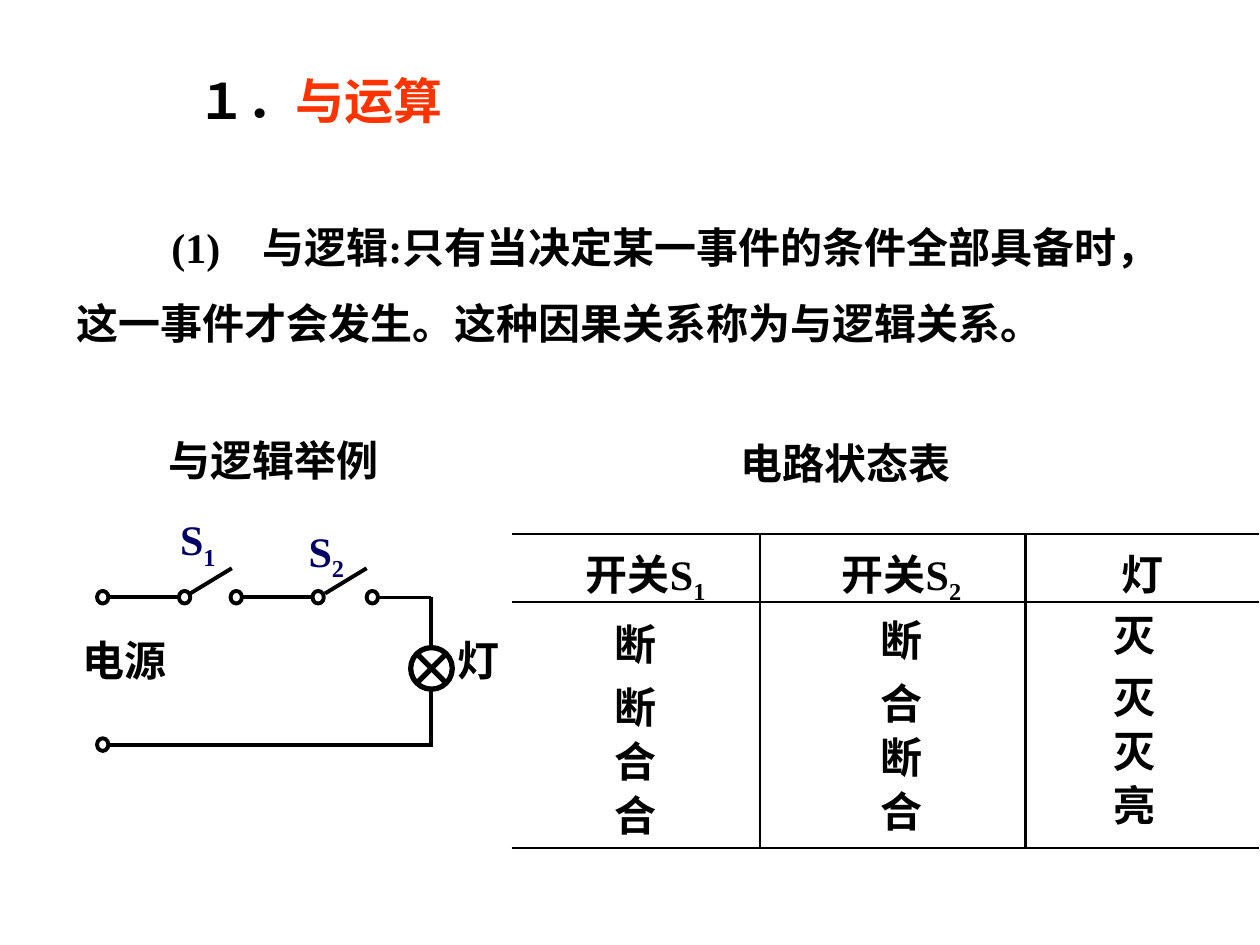
from lxml import etree
from pptx import Presentation
from pptx.dml.color import RGBColor
from pptx.enum.shapes import MSO_CONNECTOR, MSO_SHAPE
from pptx.enum.text import MSO_ANCHOR, MSO_AUTO_SIZE, PP_ALIGN
from pptx.oxml.ns import qn
from pptx.util import Inches, Pt

BLACK = RGBColor(0x00, 0x00, 0x00)
NAVY = RGBColor(0x00, 0x00, 0x66)
RED = RGBColor(0xFF, 0x33, 0x00)
FONT = "Times New Roman"
CENTER, LEFT = PP_ALIGN.CENTER, PP_ALIGN.LEFT
TOP, MIDDLE = MSO_ANCHOR.TOP, MSO_ANCHOR.MIDDLE
NO_FIT = MSO_AUTO_SIZE.NONE
STRAIGHT = MSO_CONNECTOR.STRAIGHT
OVAL, LAMP = MSO_SHAPE.OVAL, MSO_SHAPE.FLOWCHART_SUMMING_JUNCTION


def add_run(p, text, size=24, color=BLACK, subscript=False):
    r = p.add_run()
    r.text = text
    r.font.name = FONT
    r.font.size = Pt(size)
    r.font.bold = True
    r.font.color.rgb = color
    if subscript:
        r._r.get_or_add_rPr().set("baseline", "-25000")


prs = Presentation()
prs.slide_width, prs.slide_height = Inches(10), Inches(7.5)
s = prs.slides.add_slide(prs.slide_layouts[1])

title, body = s.shapes.title, s.placeholders[1]
for sp, left, top, width, height, spacing in [
    (title, 1.47, 0.37, 2.46, 0.71, 1.3),
    (body, 0.51, 1.51, 8.6, 1.3, 1.5),
]:
    sp.left, sp.top = Inches(left), Inches(top)
    sp.width, sp.height = Inches(width), Inches(height)
    tf = sp.text_frame
    tf.auto_size = NO_FIT
    tf.word_wrap = True
    tf.vertical_anchor = TOP
    p = tf.paragraphs[0]
    p.alignment = LEFT
    p.line_spacing = spacing
    p.space_before = Pt(0)

p = title.text_frame.paragraphs[0]
add_run(p, "１．", 28)
add_run(p, "与运算", 28, RED)

p = body.text_frame.paragraphs[0]
pPr = p._p.get_or_add_pPr()
pPr.set("marL", "0")
pPr.set("indent", str(Inches(0.75)))
etree.SubElement(pPr, qn("a:buNone"))
add_run(p, "(1)　与逻辑:只有当决定某一事件的条件全部具备时，这一事件才会发生。"
           "这种因果关系称为与逻辑关系。")

for left, top, width, text, sub, color in [
    (1.12, 3.4, 2.1, "与逻辑举例", "", BLACK),
    (5.66, 3.42, 2.1, "电路状态表", "", BLACK),
    (1.33, 4.03, 0.48, "S", "1", NAVY),
    (2.35, 4.12, 0.48, "S", "2", NAVY),
    (0.44, 4.99, 1.1, "电源", "", BLACK),
    (3.53, 4.99, 0.53, "灯", "", BLACK),
]:
    sp = s.shapes.add_textbox(Inches(left), Inches(top), Inches(width), Inches(0.5))
    tf = sp.text_frame
    tf.word_wrap = False
    p = tf.paragraphs[0]
    p.alignment = CENTER
    add_run(p, text, color=color)
    if sub:
        add_run(p, sub, color=color, subscript=True)

wires = [
    (0.86, 4.74, 1.42, 4.74, 2.25),
    (1.92, 4.74, 2.48, 4.74, 2.25),
    (3.01, 4.74, 3.42, 4.74, 1.5),
    (3.42, 4.74, 3.42, 5.16, 2.25),
    (3.42, 5.48, 3.42, 5.9, 2.25),
    (3.44, 5.91, 0.85, 5.91, 2.25),
]
switch_arms = [(x, 4.71, x + 0.33, 4.51, 2.25) for x in (1.51, 2.58)]
for x1, y1, x2, y2, weight in wires + switch_arms:
    line = s.shapes.add_connector(STRAIGHT, Inches(x1), Inches(y1), Inches(x2), Inches(y2))
    line.line.color.rgb = BLACK
    line.line.width = Pt(weight)
    etree.SubElement(line._element.spPr, qn("a:effectLst"))

terminals = [(OVAL, x, 4.69, 0.09, 0.1, 2.25) for x in (0.77, 1.42, 1.83, 2.48, 2.91)]
terminals.append((OVAL, 0.77, 5.86, 0.09, 0.1, 2.25))
for kind, x, y, w, h, weight in terminals + [(LAMP, 3.26, 5.14, 0.33, 0.33, 3)]:
    sp = s.shapes.add_shape(kind, Inches(x), Inches(y), Inches(w), Inches(h))
    sp.shadow.inherit = False
    sp.fill.background()
    sp.line.color.rgb = BLACK
    sp.line.width = Pt(weight)

states = [
    [("开关S", "1"), ("开关S", "2"), ("灯", "")],
    [("断", ""), ("断", ""), ("灭", "")],
    [("断", ""), ("合", ""), ("灭", "")],
    [("合", ""), ("断", ""), ("灭", "")],
    [("合", ""), ("合", ""), ("亮", "")],
]
col_widths = [1.97, 2.11, 1.85]
row_heights = [0.54, 0.57, 0.43, 0.43, 0.52]
header_left, body_left = [0.16, 0.14, 0], [0, 0.14, 0]
header_right, body_right = [0, 0, 0], [0, 0, 0.12]
first_row_top, body_top = [0.15, 0.12, 0.08], [0.08, 0.05, 0]
table = s.shapes.add_table(5, 3, Inches(4.06), Inches(4.24), Inches(5.93), Inches(2.49)).table
table.horz_banding = False
for column, width in zip(table.columns, col_widths):
    column.width = Inches(width)
for row, height in zip(table.rows, row_heights):
    row.height = Inches(height)

for i, row in enumerate(states):
    lefts, rights = (body_left, body_right) if i else (header_left, header_right)
    tops = [[0.06] * 3, first_row_top, body_top][min(i, 2)]
    for j, (text, sub) in enumerate(row):
        cell = table.cell(i, j)
        cell.margin_left, cell.margin_right = Inches(lefts[j]), Inches(rights[j])
        cell.margin_top, cell.margin_bottom = Inches(tops[j]), 0
        cell.vertical_anchor = TOP if i else MIDDLE
        p = cell.text_frame.paragraphs[0]
        p.alignment = CENTER
        p.line_spacing = 0.8 if i else 1.0
        add_run(p, text)
        if sub:
            add_run(p, sub, subscript=True)
        borders = {"a:lnL": j > 0, "a:lnR": j < 2, "a:lnT": i < 2, "a:lnB": i in (0, 4)}
        for tag, visible in borders.items():
            ln = etree.SubElement(cell._tc.get_or_add_tcPr(), qn(tag), w=str(Pt(1.5)))
            if visible:
                fill = etree.SubElement(ln, qn("a:solidFill"))
                etree.SubElement(fill, qn("a:srgbClr"), val=str(BLACK))
            else:
                etree.SubElement(ln, qn("a:noFill"))
        cell.fill.background()

prs.save("out.pptx")
